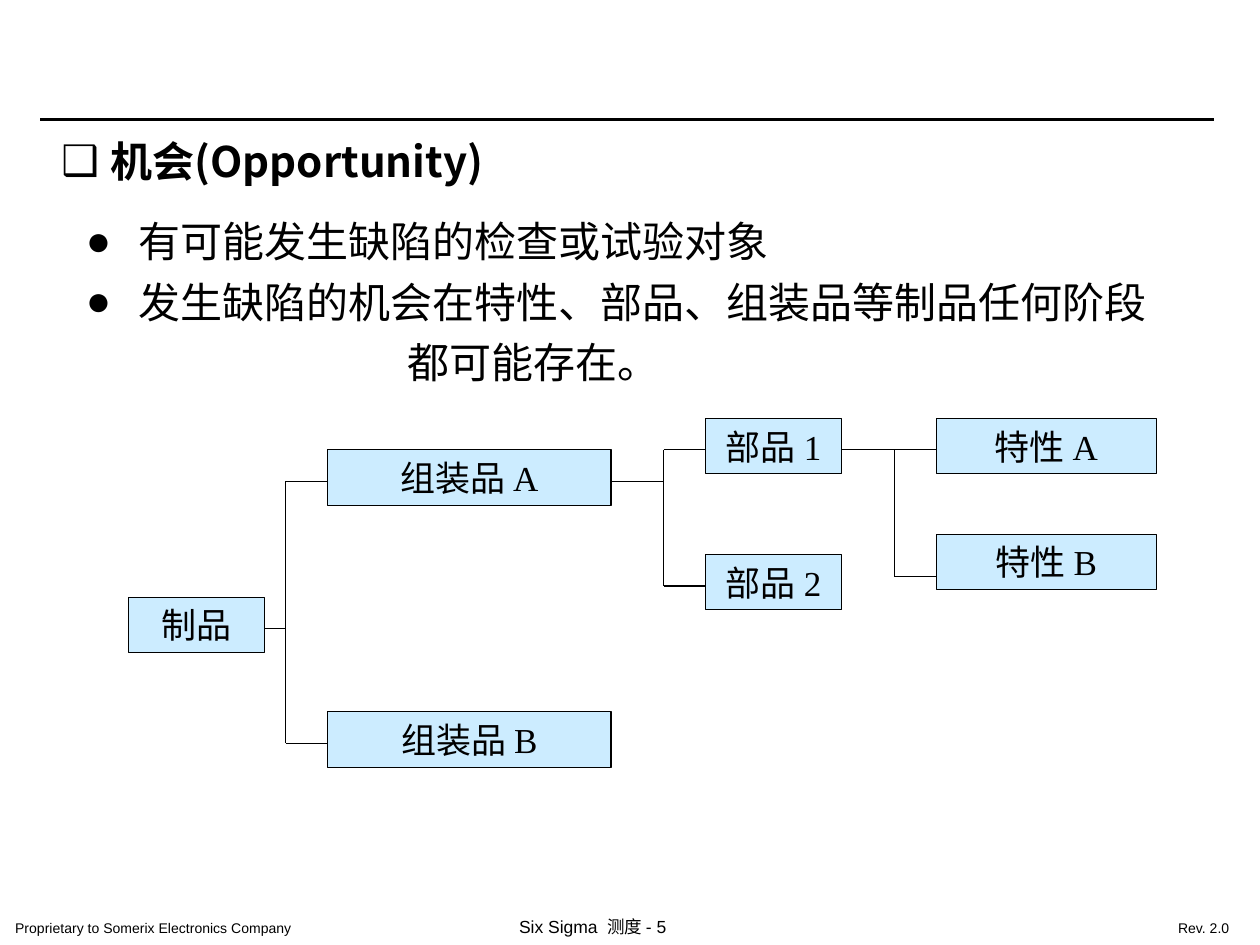
from lxml import etree
from pptx import Presentation
from pptx import util as u
from pptx.dml.color import RGBColor
from pptx.enum import shapes, text
from pptx.oxml import ns

Pt = u.Pt
COLORS = {"ink": "000000", "node": "CCECFF"}
NODE_H = 31.68
PORT = 18  # drop from a node's top to its connecting line
STUB = 24  # length of the line leading into a child

# name: (left, top, width), relative to the diagram
NODES = {
    "制品": (0, 102.24, 77.76),
    "组装品 A": (113.76, 18, 162),
    "组装品 B": (113.76, 167.76, 162),
    "部品 1": (329.76, 0, 77.76),
    "部品 2": (329.76, 77.76, 77.76),
    "特性 A": (461.52, 0, 126),
    "特性 B": (461.52, 66.24, 126),
}
BRANCHES = {
    "制品": ("组装品 A", "组装品 B"),
    "组装品 A": ("部品 1", "部品 2"),
    "部品 1": ("特性 A", "特性 B"),
}
PORTS = {"特性 B": 24}


def color(name):
    return RGBColor.from_string(COLORS[name])


def style(p, size, font, bold=False):
    for r in p.runs:
        r.font.size = Pt(size)
        r.font.name = font
        r.font.bold = bold
        r.font.color.rgb = color("ink")


def indent(p, left, hanging=0, bullet=None):
    pPr = p._p.get_or_add_pPr()
    pPr.set("marL", str(Pt(left)))
    pPr.set("indent", str(-Pt(hanging)))
    if bullet:
        font = etree.SubElement(pPr, ns.qn("a:buFont"))
        font.set("typeface", "Arial")
        etree.SubElement(pPr, ns.qn("a:buChar")).set("char", bullet)


def add_line(s, x1, y1, x2, y2, width=0.75):
    c = s.shapes.add_connector(shapes.MSO_CONNECTOR.STRAIGHT,
                               Pt(x1), Pt(y1), Pt(x2), Pt(y2))
    c.line.color.rgb = color("ink")
    c.line.width = Pt(width)
    etree.SubElement(c._element.spPr, ns.qn("a:effectLst"))


def add_text_box(s, left, top, width, height, margin_x, margin_y, wrap=True):
    tf = s.shapes.add_textbox(Pt(left), Pt(top), Pt(width), Pt(height)).text_frame
    tf.word_wrap = wrap
    tf.margin_left = tf.margin_right = Pt(margin_x)
    tf.margin_top = tf.margin_bottom = Pt(margin_y)
    return tf


def add_footer(s, left, top):
    notes = [
        ("Proprietary to Somerix Electronics Company", 0, 2.16, 231, 18, 8),
        ("Six Sigma  测度 - 5", 288, 0, 147, 21, 10),
        ("Rev. 2.0", 664.56, 2.16, 47.5, 18, 8),
    ]
    for words, x, y, width, height, size in notes:
        tf = add_text_box(s, left + x, top + y, width, height, 8.64, 4.32, wrap=False)
        tf.text = words
        style(tf.paragraphs[0], size, "Arial")


def add_body(s, left, top, width, height):
    tf = add_text_box(s, left, top, width, height, 7.2, 3.6)
    p = tf.paragraphs[0]
    p.text = "机会(Opportunity)"
    style(p, 24, "Noto Sans CJK KR", bold=True)
    indent(p, 28, 28, "❑")

    # words, left indent, hanging indent, bullet, space before
    lines = [
        ("有可能发生缺陷的检查或试验对象", 44, 30, "●", 11),
        ("发生缺陷的机会在特性、部品、组装品等制品任何阶段", 44, 30, "●", 0),
        ("都可能存在。", 198, 0, None, 0),
    ]
    for words, margin, hanging, bullet, before in lines:
        p = tf.add_paragraph()
        p.text = words
        p.line_spacing = 1.2
        p.space_before = Pt(before)
        style(p, 24, "Arial")
        indent(p, margin, hanging, bullet)


def add_node(s, name, left, top, width):
    sp = s.shapes.add_shape(shapes.MSO_SHAPE.RECTANGLE,
                            Pt(left), Pt(top), Pt(width), Pt(NODE_H))
    sp.shadow.inherit = False
    sp.fill.solid()
    sp.fill.fore_color.rgb = color("node")
    sp.line.color.rgb = color("ink")
    sp.line.width = Pt(0.75)
    tf = sp.text_frame
    tf.word_wrap = True
    tf.vertical_anchor = text.MSO_ANCHOR.MIDDLE
    tf.text = name
    p = tf.paragraphs[0]
    p.alignment = text.PP_ALIGN.CENTER
    style(p, 20, "Times New Roman")


def add_tree(s, left, top):
    for name, (x, y, width) in NODES.items():
        add_node(s, name, left + x, top + y, width)
    for parent, children in BRANCHES.items():
        x, y, width = NODES[parent]
        trunk = left + NODES[children[0]][0] - STUB
        ends = [top + NODES[c][1] + PORTS.get(c, PORT) for c in children]
        add_line(s, left + x + width, top + y + PORT, trunk, top + y + PORT)
        add_line(s, trunk, ends[0], trunk, ends[-1])
        for end in ends:
            add_line(s, trunk, end, trunk + STUB, end)


def main():
    prs = Presentation()
    prs.slide_width, prs.slide_height = Pt(720), Pt(540)
    s = prs.slides.add_slide(prs.slide_layouts[6])
    add_footer(s, 0, 519.12)
    add_line(s, 23, 68.4, 693.5, 68.4, 1.5)
    add_tree(s, 73.44, 239.04)
    add_body(s, 28, 74.16, 649, 186)
    prs.save("out.pptx")


if __name__ == "__main__":
    main()
